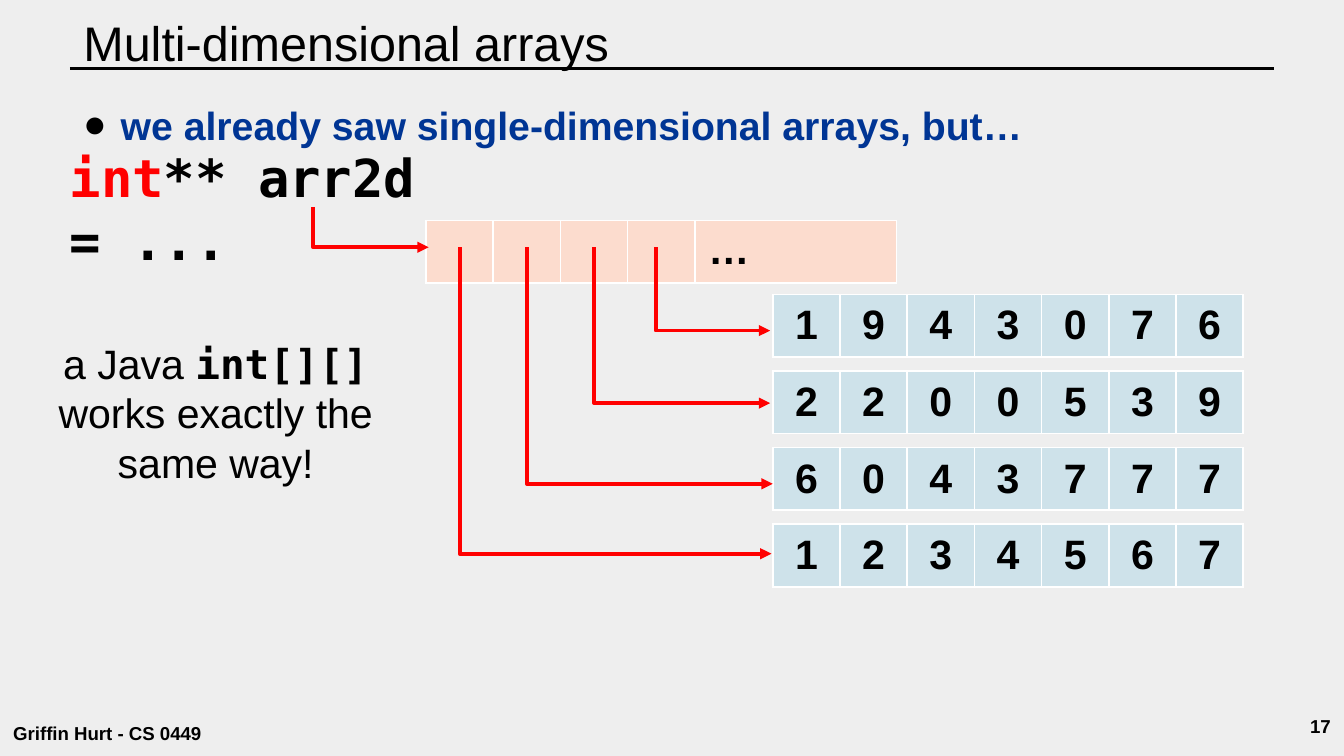
import lxml.etree
import pptx
import pptx.dml.color
import pptx.enum.shapes
import pptx.enum.text
import pptx.oxml.ns
import pptx.util

Inches = pptx.util.Inches
ALIGN = pptx.enum.text.PP_ALIGN
ANCHOR = pptx.enum.text.MSO_ANCHOR

SANS, MONO = "Arial", "DejaVu Sans Mono"
BLACK, WHITE, RED, NAVY = "000000", "FFFFFF", "FF0000", "003594"
PEACH, PALE_BLUE, GREY = "FCDCCE", "CEE2EA", "EEEEEE"
CELL_WIDTH, CELL_HEIGHT = 0.5, 0.45

POINTERS = ["", "", "", "", "…"]
NUMBER_ROWS = ["1943076", "2200539", "6043777", "1234567"]
# Start x, end x and end y of the arrow to each number row
ROW_ARROWS = [(4.88, 5.73, 2.46), (4.42, 5.73, 3), (3.92, 5.75, 3.6), (3.42, 5.74, 4.12)]


def rgb(value):
    return pptx.dml.color.RGBColor.from_string(value)


def add_xml(parent, tag, **attributes):
    element = lxml.etree.SubElement(parent, pptx.oxml.ns.qn(tag))
    for name, value in attributes.items():
        element.set(name, str(value))
    return element


def add_span(para, text, size=22, color=BLACK, bold=False, font=SANS):
    span = para.add_run()
    span.text = text
    span.font.size = pptx.util.Pt(size)
    span.font.name = font
    span.font.bold = bold
    span.font.color.rgb = rgb(color)


def add_text(page, box, spans, align=ALIGN.LEFT, anchor=ANCHOR.TOP, inset=0.05):
    """Add a one-paragraph text box; each span is (text, format)."""
    frame = page.shapes.add_textbox(*map(Inches, box)).text_frame
    frame.word_wrap = True
    frame.vertical_anchor = anchor
    frame.margin_top = frame.margin_bottom = Inches(inset)
    para = frame.paragraphs[0]
    para.alignment = align
    for text, style in spans:
        add_span(para, text, **style)
    return para


def add_title(page, box, text):
    title = page.shapes.title
    title.left, title.top, title.width, title.height = map(Inches, box)
    frame = title.text_frame
    frame.vertical_anchor = ANCHOR.MIDDLE
    frame.auto_size = pptx.enum.text.MSO_AUTO_SIZE.NONE
    frame.paragraphs[0].alignment = ALIGN.LEFT
    add_span(frame.paragraphs[0], text, size=26)

    left, top, width, height = box
    rule_y = Inches(top + 0.45)
    rule = page.shapes.add_connector(
        pptx.enum.shapes.MSO_CONNECTOR.STRAIGHT,
        Inches(left), rule_y, Inches(left + width), rule_y)
    rule.line.color.rgb = rgb(BLACK)
    rule.line.width = pptx.util.Pt(1.5)
    add_xml(rule._element.spPr, "a:effectLst")


def add_bullet(page, box, text):
    para = add_text(page, box, [(text, dict(size=21, color=NAVY, bold=True))])
    para.line_spacing = 1.15
    para.space_after = pptx.util.Pt(12)
    properties = para._p.get_or_add_pPr()
    properties.set("marL", str(Inches(0.28)))
    properties.set("indent", str(-Inches(0.28)))
    bullet_color = add_xml(properties, "a:buClr")
    add_xml(bullet_color, "a:srgbClr", val=BLACK)
    add_xml(properties, "a:buFont", typeface=SANS)
    add_xml(properties, "a:buChar", char="●")


def add_cell_borders(cell):
    properties = cell._tc.get_or_add_tcPr()
    for side in ("a:lnL", "a:lnR", "a:lnT", "a:lnB"):
        border = add_xml(properties, side, w=pptx.util.Pt(1))
        add_xml(add_xml(border, "a:solidFill"), "a:srgbClr", val=WHITE)


def add_array(page, left, top, values, widths, fill, align, anchor):
    """Draw an array as a one-row table."""
    table = page.shapes.add_table(
        1, len(values), Inches(left), Inches(top),
        Inches(sum(widths)), Inches(CELL_HEIGHT)).table
    table.first_row = table.horz_banding = False
    for index, (value, width) in enumerate(zip(values, widths)):
        table.columns[index].width = Inches(width)
        cell = table.cell(0, index)
        add_cell_borders(cell)
        cell.fill.solid()
        cell.fill.fore_color.rgb = rgb(fill)
        cell.vertical_anchor = anchor
        if value:
            para = cell.text_frame.paragraphs[0]
            para.alignment = align
            add_span(para, value, bold=True)


def add_elbow_arrow(page, start_x, start_y, end_x, end_y):
    """Draw an arrow that goes down and then right."""
    builder = page.shapes.build_freeform(Inches(start_x), Inches(start_y))
    corners = [(start_x, end_y), (end_x, end_y)]
    builder.add_line_segments([(Inches(x), Inches(y)) for x, y in corners], close=False)
    arrow = builder.convert_to_shape()
    arrow.shadow.inherit = False
    arrow.fill.background()
    arrow.line.color.rgb = rgb(RED)
    arrow.line.width = pptx.util.Pt(2)
    add_xml(arrow.line._get_or_add_ln(), "a:tailEnd", type="triangle")


def add_array_diagram(page, left, top):
    pointer_y = top + 0.2
    add_array(page, left, top, POINTERS, [CELL_WIDTH] * 4 + [1.5], PEACH,
              ALIGN.LEFT, ANCHOR.TOP)
    for index, numbers in enumerate(NUMBER_ROWS):
        add_array(page, left + 2.58, top + 0.55 + 0.57 * index, numbers,
                  [CELL_WIDTH] * len(numbers), PALE_BLUE, ALIGN.CENTER, ANCHOR.MIDDLE)
    for start_x, end_x, end_y in ROW_ARROWS:
        add_elbow_arrow(page, start_x, pointer_y, end_x, end_y)
    add_elbow_arrow(page, 2.33, 1.54, left + 0.02, pointer_y)


def add_footer(page, top, height):
    style = dict(size=10, bold=True)
    add_text(page, (9.4, top, 0.6, height), [("17", style)],
             align=ALIGN.RIGHT, anchor=ANCHOR.MIDDLE)
    add_text(page, (0, top, 2.18, height), [("Griffin Hurt - CS 0449", style)],
             anchor=ANCHOR.BOTTOM, inset=0.1)


def main():
    deck = pptx.Presentation()
    deck.slide_width = Inches(10)
    deck.slide_height = deck.slide_width * 9 // 16
    page = deck.slides.add_slide(deck.slide_layouts[5])
    page.background.fill.solid()
    page.background.fill.fore_color.rgb = rgb(GREY)

    add_title(page, (0.52, 0.06, 8.96, 0.51), "Multi-dimensional arrays")
    add_bullet(page, (0.52, 0.65, 8.96, 4.34),
               "we already saw single-dimensional arrays, but…")
    code = dict(size=28, bold=True, font=MONO)
    add_text(page, (0.42, 1.03, 3.87, 0.57),
             [("int", dict(code, color=RED)), ("** arr2d = ...", code)])
    add_array_diagram(page, 3.17, 1.64)
    add_text(page, (0.3, 2.47, 2.61, 1.21),
             [("a Java ", {}), ("int[][]", dict(bold=True, font=MONO)),
              (" works exactly the same way!", {})], align=ALIGN.CENTER)
    add_footer(page, 5.19, 0.43)
    deck.save("out.pptx")


if __name__ == "__main__":
    main()
